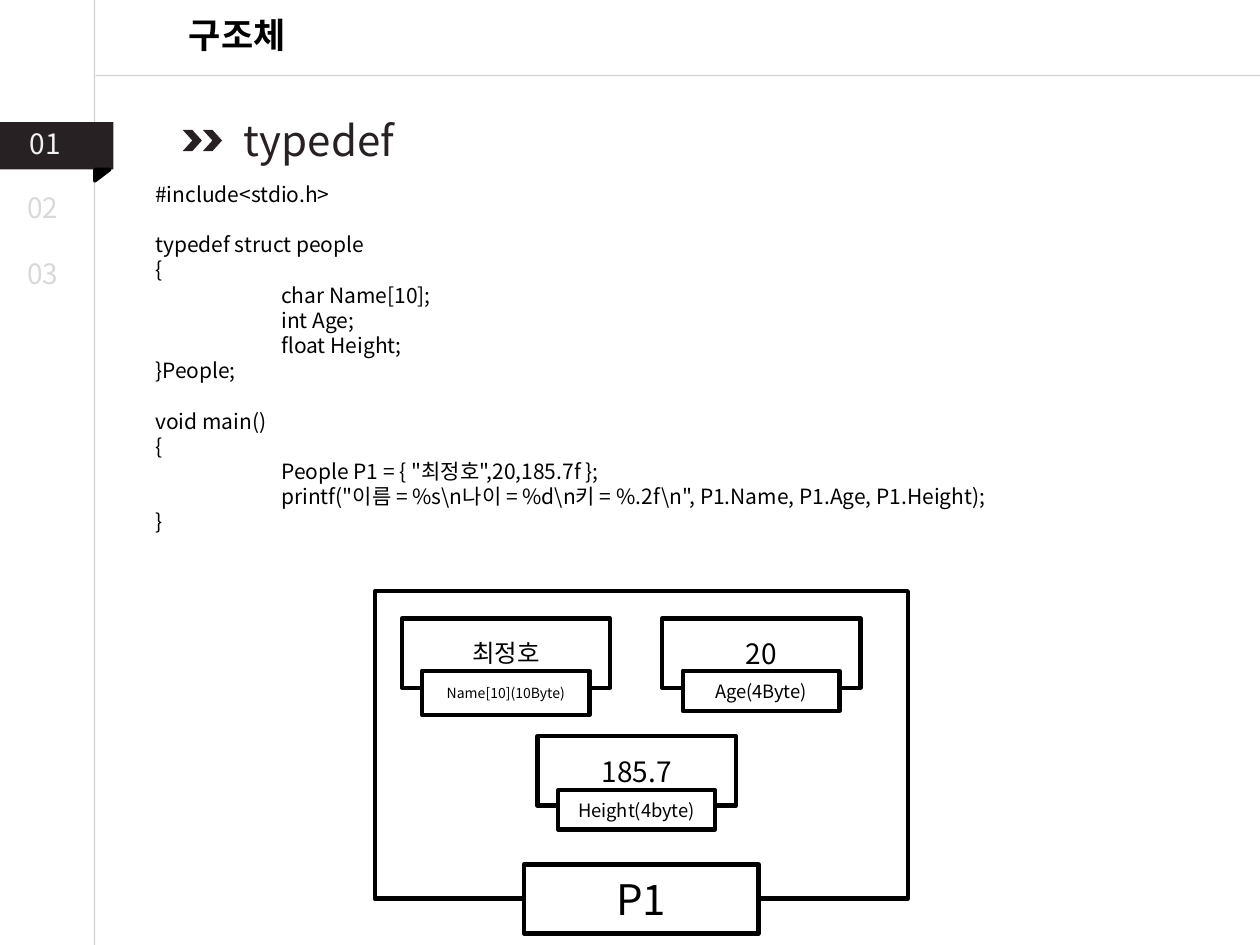
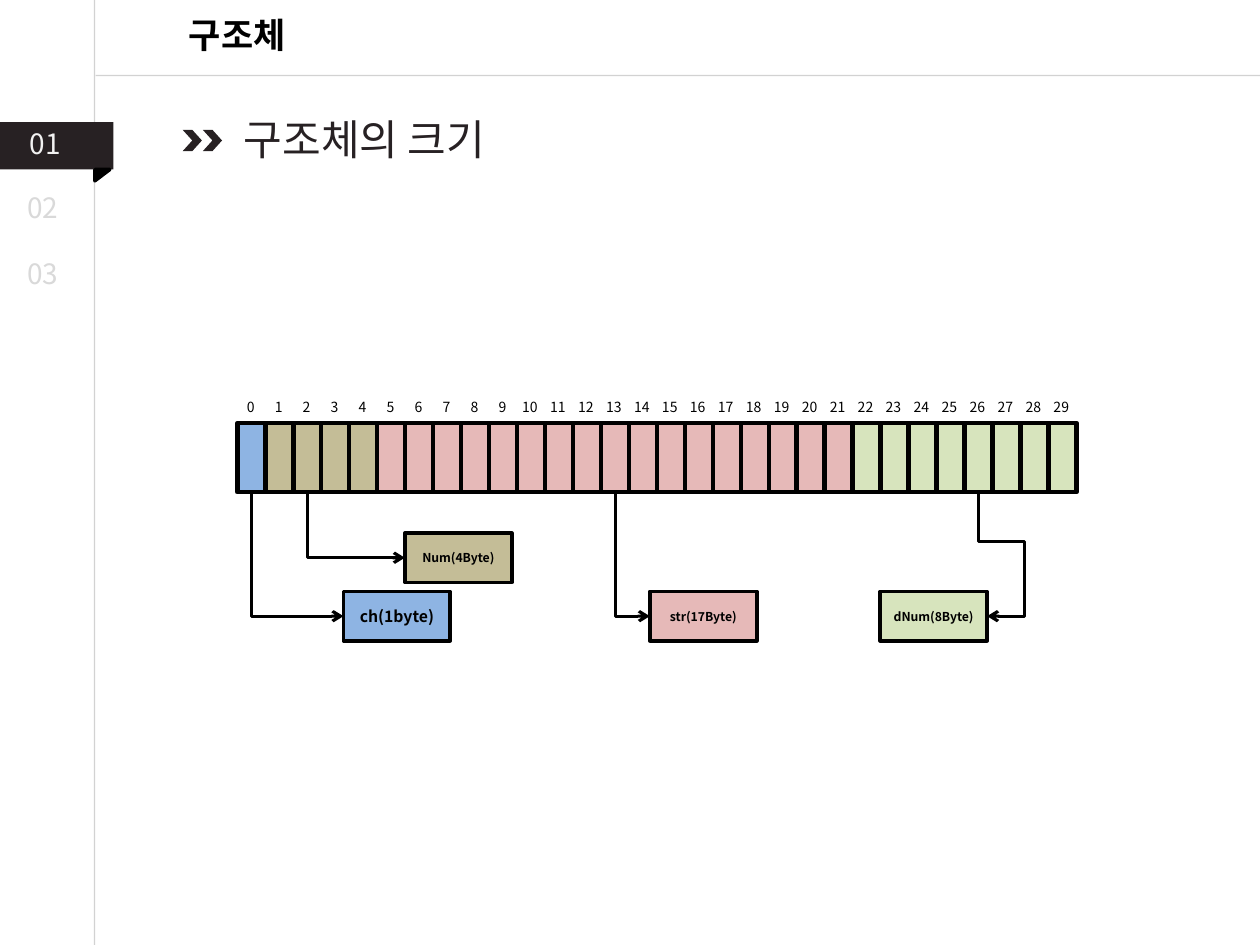
from typing import Any, NamedTuple, Optional

from lxml import etree
from pptx import Presentation
from pptx import util as u
from pptx.dml.color import RGBColor
from pptx.enum import shapes, text
from pptx.oxml.ns import qn

FONT = "Noto Sans CJK KR"
BLACK, WHITE, INK = "000000", "FFFFFF", "272123"
RULE_GREY, PALE, LIGHT = "A6A6A6", "D9D9D9", "F2F2F2"
BLUE, TAN, PINK, GREEN = "8EB4E3", "C4BD97", "E6B9B8", "D7E4BD"
KIND = shapes.MSO_SHAPE
CENTER = text.PP_ALIGN.CENTER

CODE = r'''#include<stdio.h>

typedef struct people
{
	char Name[10];
	int Age;
	float Height;
}People;

void main()
{
	People P1 = { "최정호",20,185.7f };
	printf("이름 = %s\n나이 = %d\n키 = %.2f\n", P1.Name, P1.Age, P1.Height);
}'''
CODE_PITCH, CODE_TAB = 14.4, 72
CELL_LEFT, CELL_TOP, CELL_PITCH, CELL_HEIGHT = 135.7, 241.7, 15.98, 39.6


class Area(NamedTuple):
    left: float
    top: float
    width: float
    height: float


class Style(NamedTuple):
    size: float
    color: str = BLACK
    bold: bool = False
    outline: Optional[str] = None


class Label(NamedTuple):
    words: str
    area: Area
    style: Style
    align: Optional[text.PP_ALIGN] = None


class Block(NamedTuple):
    area: Area
    fill: Optional[str] = None
    border: float = 0
    words: str = ""
    style: Style = Style(12)
    kind: shapes.MSO_SHAPE = KIND.RECTANGLE
    rotation: float = 0


class Field(NamedTuple):
    words: str
    area: Area
    size: float
    color: str
    first: int
    count: int
    source: int
    side: int = 1


FRAME = [
    Block(Area(-0.7, 69.8, 65.6, 27), INK),
    Block(Area(55.2, 95.8, 6.5, 8.6), BLACK, 2, kind=KIND.RIGHT_TRIANGLE, rotation=90),
    *(Block(Area(left, 74.2, 11, 12.2), INK, kind=KIND.CHEVRON) for left in (115.9, 104.4)),
]
FRAME_LABELS = [
    Label("01", Area(9.8, 69, 42.5, 26.6), Style(16, LIGHT, outline=PALE)),
    Label("02", Area(8.6, 105.4, 35.3, 26.6), Style(16, PALE, outline=BLACK)),
    Label("03", Area(8.6, 143.3, 35.3, 26.6), Style(16, PALE, outline=BLACK)),
    Label("구조체", Area(58.5, 4.3, 154.1, 31.7), Style(20, BLACK, True, PALE), CENTER),
]
STRUCT_BLOCKS = [
    Block(Area(214.2, 337.9, 304.6, 175.7), None, 2.5),
    Block(Area(299.5, 493.9, 133.9, 39.6), WHITE, 2.5, "P1", Style(24)),
    Block(Area(229.7, 353.4, 118.8, 39.6), None, 2.5, "최정호", Style(14)),
    Block(Area(241.2, 383.3, 95.8, 25.2), WHITE, 2.5, "Name[10](10Byte)", Style(8)),
    Block(Area(378.3, 353.4, 113.4, 39.6), None, 2.5, "20", Style(16)),
    Block(Area(390.2, 383.3, 89.5, 23), WHITE, 2.5, "Age(4Byte)", Style(10.5)),
    Block(Area(307.1, 420.7, 113.4, 39.6), None, 2.5, "185.7", Style(16)),
    Block(Area(319, 451.5, 89.5, 22.5), WHITE, 2.5, "Height(4byte)", Style(10.5)),
]
FIELDS = [
    Field("ch(1byte)", Area(196.3, 338, 61, 28.2), 9, BLUE, 0, 1, 0),
    Field("Num(4Byte)", Area(231.3, 304.6, 61.2, 28.2), 7, TAN, 1, 4, 2),
    Field("str(17Byte)", Area(371.3, 338, 61.2, 28.2), 7, PINK, 5, 17, 13),
    Field("dNum(8Byte)", Area(502.9, 338, 61.2, 28.2), 7, GREEN, 22, 8, 26, 3),
]
DETOUR_X, DETOUR_Y = 585.4, 309.4


def rgb(value: str) -> RGBColor:
    return RGBColor.from_string(value)


def add(parent: Any, tag: str, **values: Any) -> Any:
    return etree.SubElement(parent, qn(tag), {key: str(value) for key, value in values.items()})


def assign(target: Any, values: dict[str, Any]) -> None:
    for key, value in values.items():
        setattr(target, key, value)


def points(area: Area) -> list[int]:
    return [u.Pt(value) for value in area]


def write(para: Any, words: str, style: Style) -> None:
    span = para.add_run()
    span.text = words
    assign(span.font, {"name": FONT, "size": u.Pt(style.size), "bold": style.bold})
    span.font.color.rgb = rgb(style.color)
    props = span.font._element
    east = etree.Element(qn("a:ea"), {"typeface": FONT})
    props.find(qn("a:latin")).addnext(east)
    if style.outline:
        outline = add(props, "a:ln", w=u.Pt(0.75))
        color = add(add(outline, "a:solidFill"), "a:srgbClr", val=style.outline)
        add(color, "a:alpha", val=30000)
        props.insert(0, outline)


def draw_label(page: Any, label: Label, wrap: bool = True) -> Any:
    box = page.shapes.add_textbox(*points(label.area))
    frame = box.text_frame
    assign(frame, {"word_wrap": wrap, "auto_size": text.MSO_AUTO_SIZE.SHAPE_TO_FIT_TEXT})
    frame.paragraphs[0].alignment = label.align
    write(frame.paragraphs[0], label.words, label.style)
    return box


def draw_block(page: Any, block: Block) -> Any:
    box = page.shapes.add_shape(block.kind, *points(block.area))
    box.shadow.inherit = False
    box.rotation = block.rotation
    if block.fill:
        box.fill.solid()
        box.fill.fore_color.rgb = rgb(block.fill)
    else:
        box.fill.background()
    if block.border:
        box.line.color.rgb = rgb(BLACK)
        box.line.width = u.Pt(block.border)
    else:
        box.line.fill.background()
    if block.words:
        frame = box.text_frame
        margins = dict.fromkeys(("margin_left", "margin_right", "margin_top", "margin_bottom"), 0)
        assign(frame, {"word_wrap": True, "vertical_anchor": text.MSO_ANCHOR.MIDDLE, **margins})
        frame.paragraphs[0].alignment = CENTER
        write(frame.paragraphs[0], block.words, block.style)
    return box


def style_line(line: Any, color: str, width: float) -> Any:
    line.line.color.rgb = rgb(color)
    line.line.width = u.Pt(width)
    props = line._element.spPr
    add(props, "a:effectLst")
    return props.find(qn("a:ln"))


def draw_rule(page: Any, *ends: float) -> None:
    rule = page.shapes.add_connector(shapes.MSO_CONNECTOR.STRAIGHT, *map(u.Pt, ends))
    outline = style_line(rule, RULE_GREY, 0.75)
    add(outline.find(".//" + qn("a:srgbClr")), "a:alpha", val=50000)


def draw_arrow(page: Any, cell: Any, target: Any, side: int) -> None:
    arrow = page.shapes.add_connector(shapes.MSO_CONNECTOR.ELBOW, 0, 0, 0, 0)
    arrow.begin_connect(cell, 2)
    arrow.end_connect(target, side)
    across, down = arrow.end_x - arrow.begin_x, arrow.end_y - arrow.begin_y
    start_x, start_y = arrow.begin_x, arrow.begin_y
    outline = style_line(arrow, BLACK, 1.75)
    add(outline, "a:tailEnd", type="arrow")
    props = arrow._element.spPr
    turn = props.find(qn("a:xfrm"))
    turn.set("rot", "16200000")
    turn.set("flipH", "1")
    assign(arrow, {
        "left": start_x + (across - down) // 2,
        "top": start_y + (down - across) // 2,
        "width": down,
        "height": across,
    })
    shape = props.find(qn("a:prstGeom"))
    shape.set("prst", "bentConnector2" if side == 1 else "bentConnector4")
    if side == 3:
        guides = shape.find(qn("a:avLst"))
        if guides is None:
            guides = add(shape, "a:avLst")
        bends = ((u.Pt(DETOUR_Y) - start_y) / down, (u.Pt(DETOUR_X) - start_x) / across)
        for number, bend in enumerate(bends, 1):
            add(guides, "a:gd", name=f"adj{number}", fmla=f"val {round(bend * 100000)}")


def start_page(deck: Any, heading: str, top: float, width: float) -> Any:
    page = deck.slides.add_slide(deck.slide_layouts[6])
    draw_rule(page, 54, -29.5, 54, 559.4)
    draw_rule(page, 786.2, 43.2, 54.7, 43.2)
    for block in FRAME:
        draw_block(page, block)
    title = Label(heading, Area(127, top, width, 36), Style(24, INK, outline=BLACK))
    for label in [*FRAME_LABELS, title]:
        draw_label(page, label)
    return page


def draw_code(page: Any) -> None:
    first, *rest = CODE.split("\n")
    box = draw_label(page, Label(first, Area(81.7, 100.1, 607, 211), Style(12)))
    frame = box.text_frame
    frame.paragraphs[0].line_spacing = u.Pt(CODE_PITCH)
    gap = 0.0
    for line in rest:
        if not line:
            gap = CODE_PITCH
            continue
        para = frame.add_paragraph()
        assign(para, {"line_spacing": u.Pt(CODE_PITCH), "space_before": u.Pt(gap)})
        if line.startswith("\t"):
            stops = add(para._p.get_or_add_pPr(), "a:tabLst")
            add(stops, "a:tab", pos=u.Pt(CODE_TAB), algn="l")
        write(para, line, Style(12))
        gap = 0.0


def draw_memory(page: Any) -> None:
    cells = []
    for field in FIELDS:
        for index in range(field.first, field.first + field.count):
            left = CELL_LEFT + index * CELL_PITCH
            area = Area(left, CELL_TOP, CELL_PITCH, CELL_HEIGHT)
            cells.append(draw_block(page, Block(area, field.color, 2.5)))
            width = 14.4 + 5 * len(str(index))
            spot = Area(left + (CELL_PITCH - width) / 2, 224.3, width, 17.3)
            draw_label(page, Label(str(index), spot, Style(8)), wrap=False)
    for field in FIELDS:
        block = Block(field.area, field.color, 2, field.words, Style(field.size, bold=True))
        target = draw_block(page, block)
        draw_arrow(page, cells[field.source], target, field.side)


def main() -> None:
    deck = Presentation()
    assign(deck, {"slide_width": u.Pt(720), "slide_height": u.Pt(540)})
    page = start_page(deck, " typedef", 62.1, 141.8)
    draw_code(page)
    for block in STRUCT_BLOCKS:
        draw_block(page, block)
    draw_memory(start_page(deck, " 구조체의 크기", 61.4, 182.2))
    deck.save("out.pptx")


if __name__ == "__main__":
    main()
